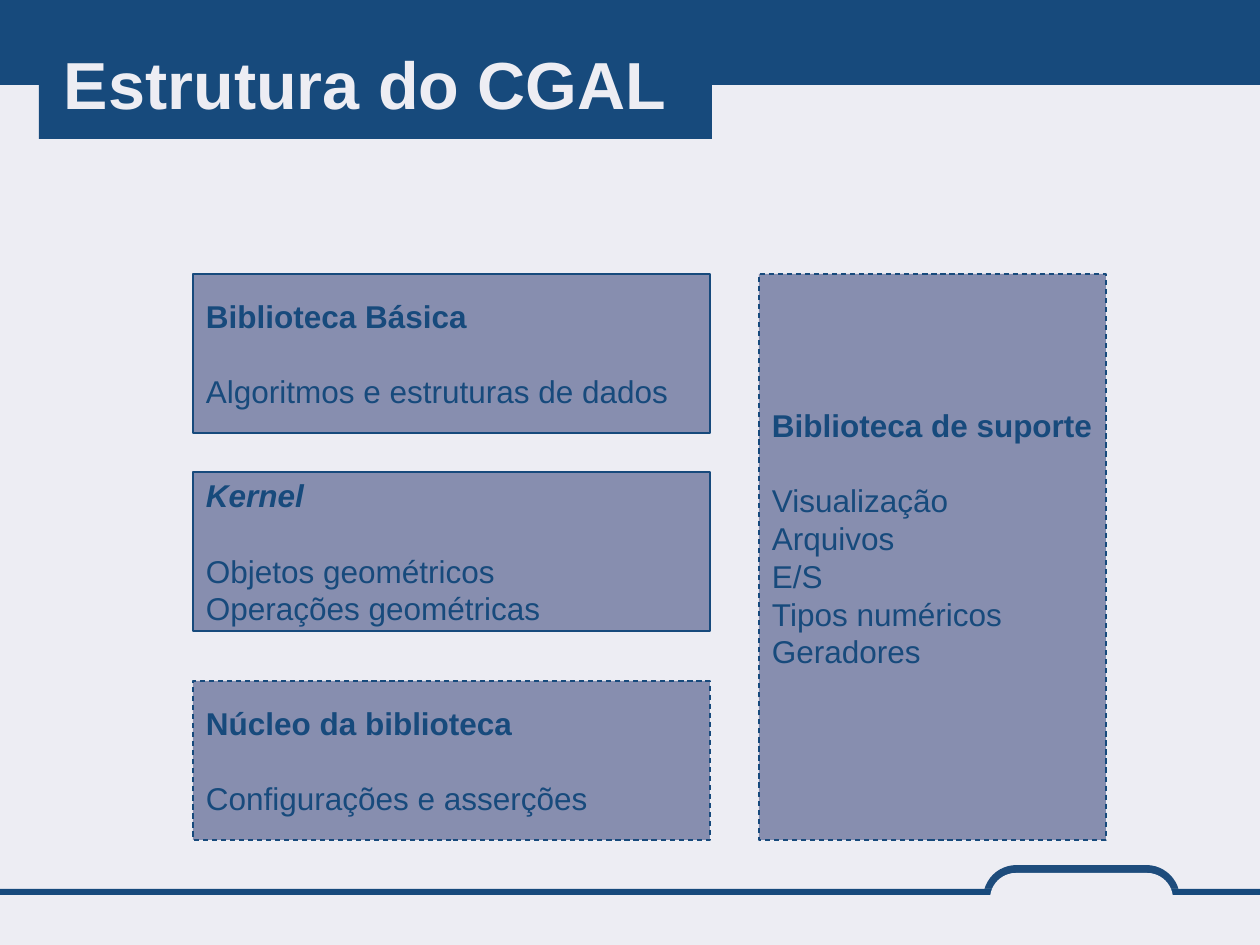
from pptx import Presentation
from pptx.dml.color import RGBColor
from pptx.enum.dml import MSO_LINE
from pptx.enum.shapes import MSO_SHAPE
from pptx.enum.text import MSO_ANCHOR, MSO_AUTO_SIZE, PP_ALIGN
from pptx.util import Pt

RECT = MSO_SHAPE.RECTANGLE
ROUND = MSO_SHAPE.ROUNDED_RECTANGLE
SOLID, DASH = MSO_LINE.SOLID, MSO_LINE.DASH
MIDDLE = MSO_ANCHOR.MIDDLE
LEFT = PP_ALIGN.LEFT
NO_FIT = MSO_AUTO_SIZE.NONE
COLORS = {"blue": "174A7C", "tab": "1E4C7C", "light": "EDEDF3", "box": "878EAF"}
LINE_PITCH = Pt(21.6)


def emu(px):
    return round(px * 914400 / 126)


def add_block(page, kind, place, fill, line=None, width=0):
    block = page.shapes.add_shape(kind, *map(emu, place))
    block.shadow.inherit = False
    block.fill.solid()
    block.fill.fore_color.rgb = RGBColor.from_string(COLORS[fill])
    if line:
        block.line.color.rgb = RGBColor.from_string(COLORS[line])
        block.line.width = Pt(width)
    else:
        block.line.fill.background()
    if kind == ROUND:
        block.adjustments[0] = 0.5
    return block


deck = Presentation()
deck.slide_width, deck.slide_height = emu(1260), emu(945)
page = deck.slides.add_slide(deck.slide_layouts[5])
page.background.fill.solid()
page.background.fill.fore_color.rgb = RGBColor.from_string(COLORS["light"])

add_block(page, RECT, (0, 0, 1260, 85), "blue")
add_block(page, ROUND, (987, 869, 189, 59), "light", "tab", 4.5)
add_block(page, RECT, (0, 889, 1260, 56), "light")
add_block(page, RECT, (0, 889, 1260, 6), "blue")
add_block(page, ROUND, (990, 873, 183, 52), "light")

title = page.shapes.title
title.element.getparent().append(title.element)
title.left, title.top, title.width, title.height = map(emu, (39, 26, 673, 113))
title.fill.solid()
title.fill.fore_color.rgb = RGBColor.from_string(COLORS["blue"])
frame = title.text_frame
frame.text = "Estrutura do CGAL"
frame.auto_size = NO_FIT
frame.word_wrap = True
frame.vertical_anchor = MIDDLE
frame.margin_left = frame.margin_right = emu(25)
frame.margin_top = frame.margin_bottom = 0
para = frame.paragraphs[0]
para.alignment = LEFT
para.font.name, para.font.size, para.font.bold = "Arial", Pt(38), True
para.font.color.rgb = RGBColor.from_string(COLORS["light"])

modules = [
    ((193, 274, 517, 159), SOLID, 6, "Biblioteca Básica",
     ["Algoritmos e estruturas de dados"]),
    ((193, 472, 517, 159), SOLID, 6, "Kernel",
     ["Objetos geométricos", "Operações geométricas"]),
    ((193, 681, 517, 159), DASH, 6, "Núcleo da biblioteca",
     ["Configurações e asserções"]),
    ((759, 274, 347, 566), DASH, 44, "Biblioteca de suporte",
     ["Visualização", "Arquivos", "E/S", "Tipos numéricos", "Geradores"]),
]
for place, dash, bottom, heading, items in modules:
    box = add_block(page, RECT, place, "box", "blue", 0.75)
    box.line.dash_style = dash
    frame = box.text_frame
    frame.word_wrap = False
    frame.vertical_anchor = MIDDLE
    frame.margin_left = frame.margin_right = emu(13)
    frame.margin_top, frame.margin_bottom = emu(6), emu(bottom)
    frame.text = "\n".join([heading, *items])
    for para in frame.paragraphs:
        para.alignment = LEFT
        para.line_spacing = LINE_PITCH
        para.font.name, para.font.size = "Arial", Pt(18)
        para.font.color.rgb = RGBColor.from_string(COLORS["blue"])
    first = frame.paragraphs[0]
    first.space_after = LINE_PITCH
    first.font.bold = True
    first.font.italic = heading == "Kernel"

deck.save("out.pptx")
